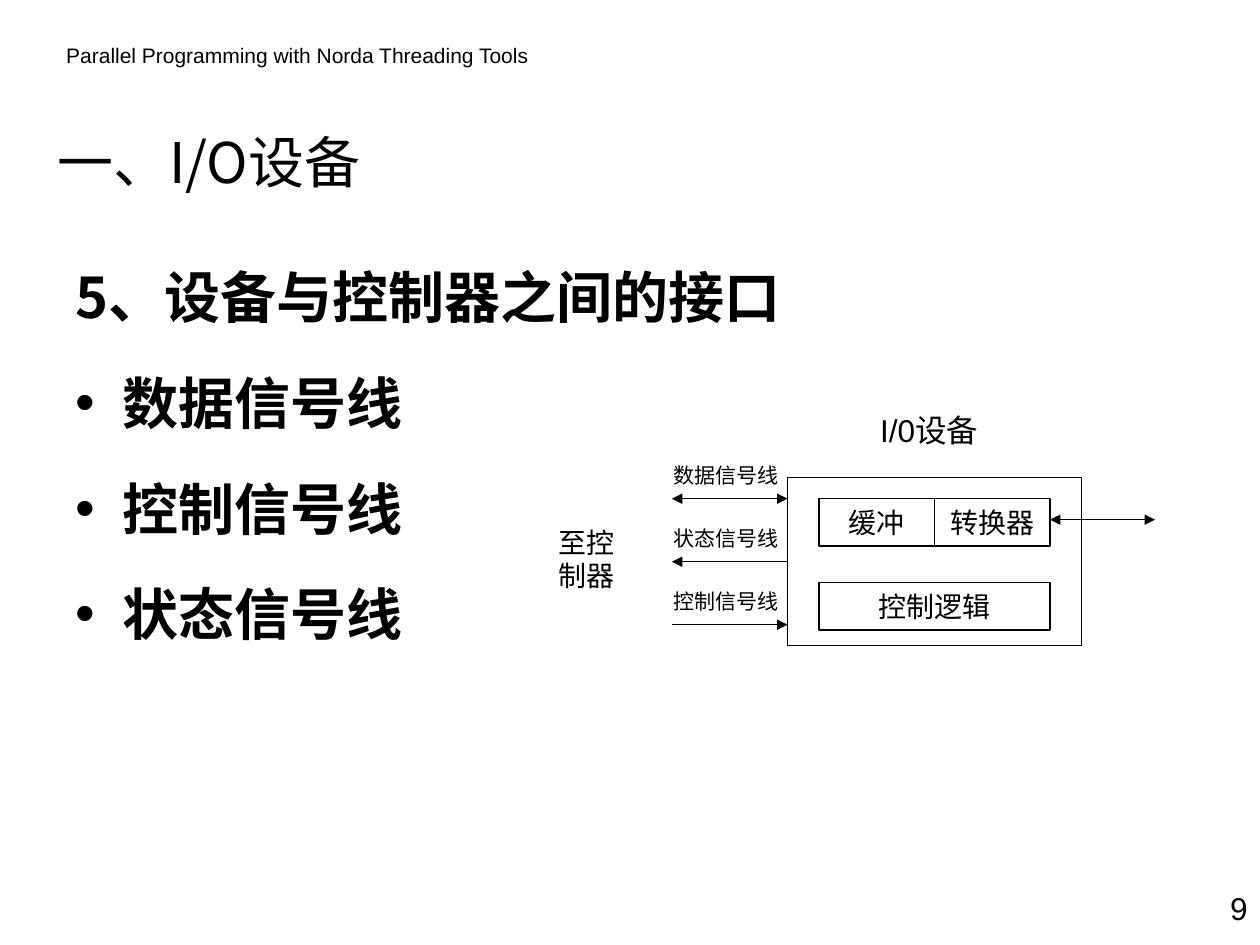
from dataclasses import dataclass

from lxml import etree
from pptx import Presentation
from pptx.dml.color import RGBColor
from pptx.enum.shapes import MSO_CONNECTOR, MSO_SHAPE
from pptx.enum.text import MSO_ANCHOR, PP_ALIGN
from pptx.oxml.ns import qn
from pptx.util import Pt

PX = 9525  # EMU per px, 96 px to the inch
STRAIGHT = MSO_CONNECTOR.STRAIGHT
RECTANGLE = MSO_SHAPE.RECTANGLE
LEFT, CENTER, RIGHT = PP_ALIGN.LEFT, PP_ALIGN.CENTER, PP_ALIGN.RIGHT
TOP, MIDDLE = MSO_ANCHOR.TOP, MSO_ANCHOR.MIDDLE
LEFT_SIDE = 1

COLORS = {"ink": "000000"}
LATIN, CHINESE = "Arial", "Noto Sans CJK SC"
INK = RGBColor.from_string(COLORS["ink"])
LINE_FACTOR = 1.2
BODY_INDENT = 36


@dataclass
class Label:
    text: str
    left: int
    top: int
    width: int
    height: int
    size: int
    align: PP_ALIGN = LEFT
    anchor: MSO_ANCHOR = TOP
    font: str = LATIN


@dataclass
class Block:
    text: str
    left: int
    top: int
    width: int
    height: int


@dataclass
class Arrow:
    start: int
    end: int
    y: int
    double: bool = False


@dataclass
class Signal:
    name: str
    arrow: Arrow


DEVICE = Block("", 600, 364, 224, 128)
BLOCKS = [
    Block("控制逻辑", 624, 444, 176, 36),
    Block("转换器", 712, 380, 88, 36),
    Block("缓冲", 624, 380, 88, 36),
]
CABLE_END = 512
SIGNALS = [
    Signal("数据信号线", Arrow(DEVICE.left, CABLE_END, 380, True)),
    Signal("状态信号线", Arrow(DEVICE.left, CABLE_END, 428)),
    Signal("控制信号线", Arrow(CABLE_END, DEVICE.left, 476)),
]
OUTSIDE_ARROW = Arrow(800, 880, 396, True)
LABELS = [
    Label("Parallel Programming with Norda Threading Tools", 41, 28, 394, 29, 12),
    Label("一、I/O设备", 34, 87, 544, 72, 32, anchor=MIDDLE, font=CHINESE),
    Label("9", 896, 672, 64, 48, 18, RIGHT),
    Label("至控制器", 416, 396, 72, 61, 16),
    Label("I/0设备", 640, 308, 136, 38, 18, CENTER),
]
BODY = Label("5、设备与控制器之间的接口\n数据信号线\n控制信号线\n状态信号线",
             48, 196, 648, 440, 32, font=CHINESE)


def format_paragraph(paragraph, size: int, font_name: str, align: PP_ALIGN, bold: bool = False) -> None:
    paragraph.alignment = align
    paragraph.line_spacing = Pt(round(size * LINE_FACTOR))
    for run in paragraph.runs:
        font = run.font
        font.size = Pt(size)
        font.bold = bold
        font.color.rgb = INK
        font.name = font_name
        east_asian = etree.Element(qn("a:ea"), typeface=CHINESE)
        font._element.find(qn("a:latin")).addnext(east_asian)


def add_label(slide, label: Label, bold: bool = False):
    shape = slide.shapes.add_textbox(
        label.left * PX, label.top * PX, label.width * PX, label.height * PX)
    frame = shape.text_frame
    frame.word_wrap = True
    frame.vertical_anchor = label.anchor
    frame.text = label.text
    for paragraph in frame.paragraphs:
        format_paragraph(paragraph, label.size, label.font, label.align, bold)
    return shape


def add_body(slide) -> None:
    """Add the bold heading line and the bulleted list under it."""
    frame = add_label(slide, BODY, bold=True).text_frame
    for index, paragraph in enumerate(frame.paragraphs):
        if index:
            paragraph.space_before = Pt(22.4)
        properties = paragraph._p.get_or_add_pPr()
        properties.set("marL", str(BODY_INDENT * PX))
        properties.set("indent", str(-BODY_INDENT * PX))
        if index:
            etree.SubElement(properties, qn("a:buFont"), typeface=LATIN)
            etree.SubElement(properties, qn("a:buChar"), char="•")
        else:
            etree.SubElement(properties, qn("a:buNone"))


def add_block(slide, block: Block):
    shape = slide.shapes.add_shape(
        RECTANGLE, block.left * PX, block.top * PX, block.width * PX, block.height * PX)
    shape.shadow.inherit = False
    shape.fill.background()
    shape.line.color.rgb = INK
    shape.line.width = Pt(0.75)
    if block.text:
        frame = shape.text_frame
        frame.margin_left = frame.margin_right = 0
        frame.margin_top = frame.margin_bottom = 0
        frame.vertical_anchor = MIDDLE
        frame.text = block.text
        format_paragraph(frame.paragraphs[0], 16, LATIN, CENTER)
    return shape


def add_arrow(slide, arrow: Arrow):
    connector = slide.shapes.add_connector(
        STRAIGHT, arrow.start * PX, arrow.y * PX, arrow.end * PX, arrow.y * PX)
    connector.line.color.rgb = INK
    connector.line.width = Pt(0.75)
    line = connector.line._get_or_add_ln()
    if arrow.double:
        etree.SubElement(line, qn("a:headEnd"), type="triangle")
    etree.SubElement(line, qn("a:tailEnd"), type="triangle")
    etree.SubElement(connector._element.spPr, qn("a:effectLst"))
    return connector


def main() -> None:
    presentation = Presentation()
    presentation.slide_width = 960 * PX
    presentation.slide_height = 720 * PX
    slide = presentation.slides.add_slide(presentation.slide_layouts[6])

    for label in LABELS:
        add_label(slide, label)
    add_body(slide)

    for block in BLOCKS:
        add_block(slide, block)
    device = add_block(slide, DEVICE)

    device_middle = DEVICE.top + DEVICE.height // 2
    for signal in SIGNALS:
        connector = add_arrow(slide, signal.arrow)
        if signal.arrow.y == device_middle:
            connector.begin_connect(device, LEFT_SIDE)
        add_label(slide, Label(signal.name, 504, signal.arrow.y - 32, 120, 29, 12))
    add_arrow(slide, OUTSIDE_ARROW)

    presentation.save("out.pptx")


if __name__ == "__main__":
    main()
